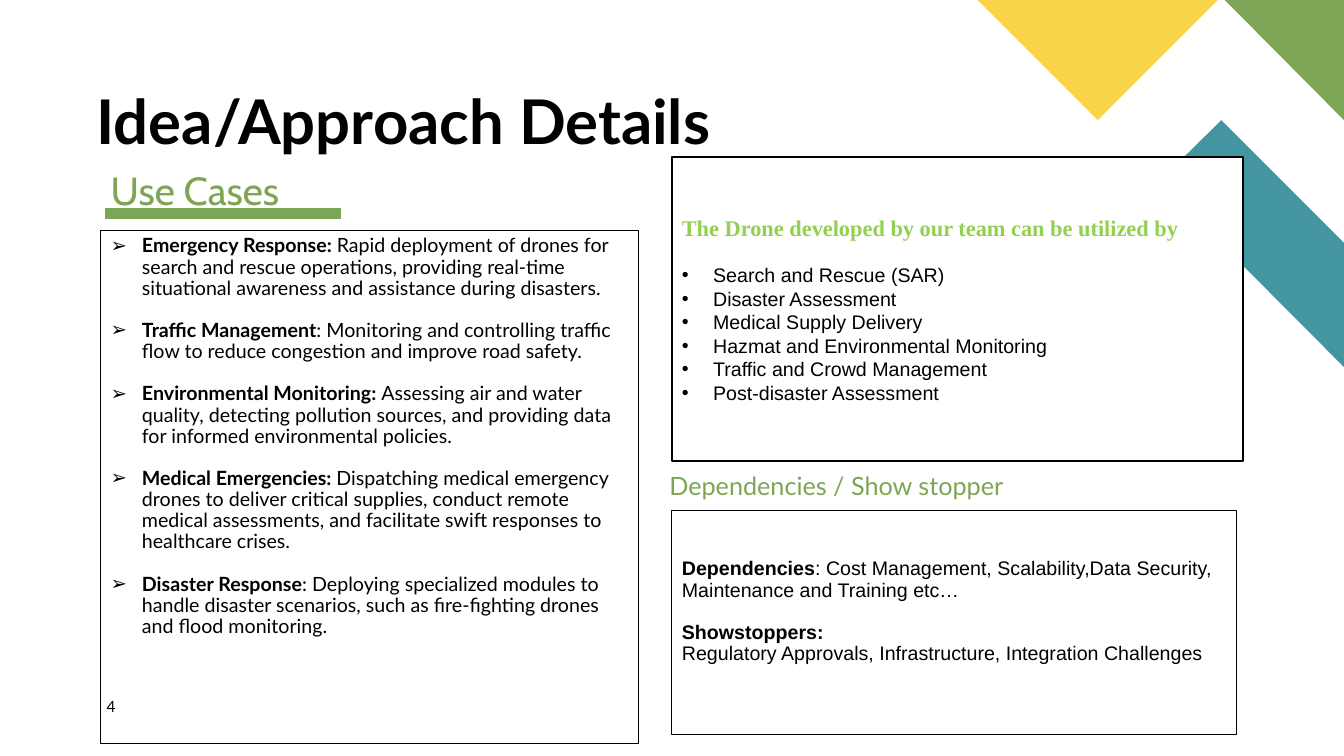
import pptx
import pptx.dml.color
import pptx.enum.shapes
import pptx.enum.text
import pptx.oxml.ns
import pptx.util
from lxml import etree

RGBColor = pptx.dml.color.RGBColor
BLACK = RGBColor(0x00, 0x00, 0x00)
WHITE = RGBColor(0xFF, 0xFF, 0xFF)
GREEN = RGBColor(0x7C, 0xA6, 0x55)
TEAL = RGBColor(0x44, 0x95, 0xA2)
YELLOW = RGBColor(0xF9, 0xD4, 0x48)
LIME = RGBColor(0x92, 0xD0, 0x50)

SLIDE_WIDTH = pptx.util.Inches(13.33)
SLIDE_HEIGHT = pptx.util.Inches(7.5)
COLUMNS, ROWS = 16, 9
HANGING = pptx.util.Inches(0.31)
PADDING = (0.1, 0.05)
TOP = pptx.enum.text.MSO_ANCHOR.TOP
MIDDLE = pptx.enum.text.MSO_ANCHOR.MIDDLE
BOTTOM = pptx.enum.text.MSO_ANCHOR.BOTTOM

RIBBONS = [
    (TEAL, [(16, 4.37), (16, 2.89), (14.54, 1.43), (13.8, 2.16)]),
    (GREEN, [(16, 1.43), (16, 0), (14.58, 0)]),
    (YELLOW, [(11.64, 0), (13.07, 1.43), (14.5, 0)]),
]

USE_CASES = [
    ("Emergency Response: ",
     "Rapid deployment of drones for search and rescue operations, providing "
     "real-time situational awareness and assistance during disasters."),
    ("Traffic Management",
     ": Monitoring and controlling traffic flow to reduce congestion and "
     "improve road safety."),
    ("Environmental Monitoring: ",
     "Assessing air and water quality, detecting pollution sources, and "
     "providing data for informed environmental policies."),
    ("Medical Emergencies: ",
     "Dispatching medical emergency drones to deliver critical supplies, "
     "conduct remote medical assessments, and facilitate swift responses to "
     "healthcare crises."),
    ("Disaster Response",
     ": Deploying specialized modules to handle disaster scenarios, such as "
     "fire-fighting drones and flood monitoring."),
]

DRONE_USES = [
    "Search and Rescue (SAR)",
    "Disaster Assessment",
    "Medical Supply Delivery",
    "Hazmat and Environmental Monitoring",
    "Traffic and Crowd Management",
    "Post-disaster Assessment",
]


def across(columns):
    return round(SLIDE_WIDTH * columns / COLUMNS)


def down(rows):
    return round(SLIDE_HEIGHT * rows / ROWS)


def place(column, row, columns, rows):
    return across(column), down(row), across(columns), down(rows)


def add_ribbon(slide, colour, corners):
    points = [(across(column), down(row)) for column, row in corners]
    builder = slide.shapes.build_freeform(*points[0], scale=1.0)
    builder.add_line_segments(points[1:], close=True)
    ribbon = builder.convert_to_shape()
    ribbon.fill.solid()
    ribbon.fill.fore_color.rgb = colour
    ribbon.line.fill.background()
    ribbon.shadow.inherit = False


def add_underline(slide, start, end, row):
    underline = slide.shapes.add_connector(
        pptx.enum.shapes.MSO_CONNECTOR.STRAIGHT,
        across(start), down(row), across(end), down(row))
    underline.line.color.rgb = GREEN
    underline.line.width = pptx.util.Pt(8)
    etree.SubElement(underline.element.spPr, pptx.oxml.ns.qn("a:effectLst"))


def prepare_frame(holder, anchor=TOP, padding=PADDING, top=None):
    """Set wrapping, anchor and insets; top overrides the upper inset."""
    frame = holder.text_frame
    frame.word_wrap = True
    frame.vertical_anchor = anchor
    side, edge = (pptx.util.Inches(inset) for inset in padding)
    frame.margin_left = frame.margin_right = side
    frame.margin_top = frame.margin_bottom = edge
    if top is not None:
        frame.margin_top = pptx.util.Inches(top)
    return frame


def add_panel(slide, area, outline, fill=None, **frame_options):
    panel = slide.shapes.add_shape(
        pptx.enum.shapes.MSO_SHAPE.RECTANGLE, *place(*area))
    panel.shadow.inherit = False
    if fill is None:
        panel.fill.background()
    else:
        panel.fill.solid()
        panel.fill.fore_color.rgb = fill
    panel.line.color.rgb = BLACK
    panel.line.width = pptx.util.Pt(outline)
    return prepare_frame(panel, **frame_options)


def add_paragraph(frame, spacing=0.9, before=0):
    first = frame.paragraphs[0]
    paragraph = frame.add_paragraph() if first.runs else first
    paragraph.alignment = pptx.enum.text.PP_ALIGN.LEFT
    paragraph.line_spacing = spacing
    paragraph.space_before = pptx.util.Pt(before)
    return paragraph


def add_run(paragraph, text, font, size=14, colour=BLACK, bold=False):
    run = paragraph.add_run()
    run.text = text
    run.font.name = font
    run.font.size = pptx.util.Pt(size)
    run.font.color.rgb = colour
    run.font.bold = bold


def add_bullet(paragraph, mark):
    properties = paragraph._p.get_or_add_pPr()
    properties.set("marL", str(HANGING))
    properties.set("indent", str(-HANGING))
    qn = pptx.oxml.ns.qn
    colour = etree.SubElement(properties, qn("a:buClr"))
    etree.SubElement(colour, qn("a:srgbClr"), val=str(BLACK))
    etree.SubElement(properties, qn("a:buFont"), typeface="Arial")
    etree.SubElement(properties, qn("a:buChar"), char=mark)


def add_label(slide, area, text, font, size, colour=BLACK, bold=False,
              spacing=0.9, **frame_options):
    """Add one line of text without a box around it."""
    label = slide.shapes.add_textbox(*place(*area))
    frame = prepare_frame(label, **frame_options)
    add_run(add_paragraph(frame, spacing), text, font, size, colour, bold)


def fill_use_cases(frame):
    for number, (name, description) in enumerate(USE_CASES):
        use_case = add_paragraph(frame, before=15 if number else 0)
        add_bullet(use_case, "➢")
        add_run(use_case, name, "Lato", bold=True)
        add_run(use_case, description, "Lato")


def fill_dependencies(frame):
    dependencies = add_paragraph(frame)
    add_run(dependencies, "Dependencies", "Arial", bold=True)
    add_run(dependencies, ": Cost Management, Scalability,Data Security, "
            "Maintenance and Training etc…", "Arial")
    add_run(add_paragraph(frame, before=15), "Showstoppers:", "Arial", bold=True)
    add_run(add_paragraph(frame), "Regulatory Approvals, Infrastructure, "
            "Integration Challenges", "Arial")


def fill_drone_uses(frame):
    heading = add_paragraph(frame, spacing=1.0)
    heading.space_after = pptx.util.Pt(16)
    add_run(heading, "The Drone developed by our team can be utilized by",
            "Times New Roman", 16, LIME, bold=True)
    for use in DRONE_USES:
        item = add_paragraph(frame, spacing=1.0)
        add_bullet(item, "•")
        add_run(item, use, "Arial")


def main():
    deck = pptx.Presentation()
    deck.slide_width, deck.slide_height = SLIDE_WIDTH, SLIDE_HEIGHT
    slide = deck.slides.add_slide(deck.slide_layouts[6])

    add_underline(slide, 1.25, 4.06, 2.54)
    for colour, corners in RIBBONS:
        add_ribbon(slide, colour, corners)

    add_label(slide, (1.15, 1.08, 7.58, 0.8), "Idea/Approach Details",
              "Lato", 44, bold=True, anchor=BOTTOM, padding=(0, 0))
    add_label(slide, (1.2, 1.98, 6.35, 0.42), "Use Cases", "Cabin", 28, GREEN)
    fill_use_cases(add_panel(slide, (1.2, 2.75, 6.4, 6.1), 0.75))
    add_label(slide, (1.27, 8.3, 0.68, 0.32), "4", "Lato", 11,
              spacing=1.0, padding=(0, 0))
    add_label(slide, (7.85, 5.58, 6.65, 0.42), "Dependencies / Show stopper",
              "Lato", 18, GREEN)
    fill_dependencies(add_panel(slide, (8, 6.08, 6.72, 2.66), 0.75, top=0.48))
    fill_drone_uses(add_panel(slide, (8, 1.87, 6.8, 3.62), 1, WHITE,
                              anchor=MIDDLE))

    deck.save("out.pptx")


if __name__ == "__main__":
    main()
